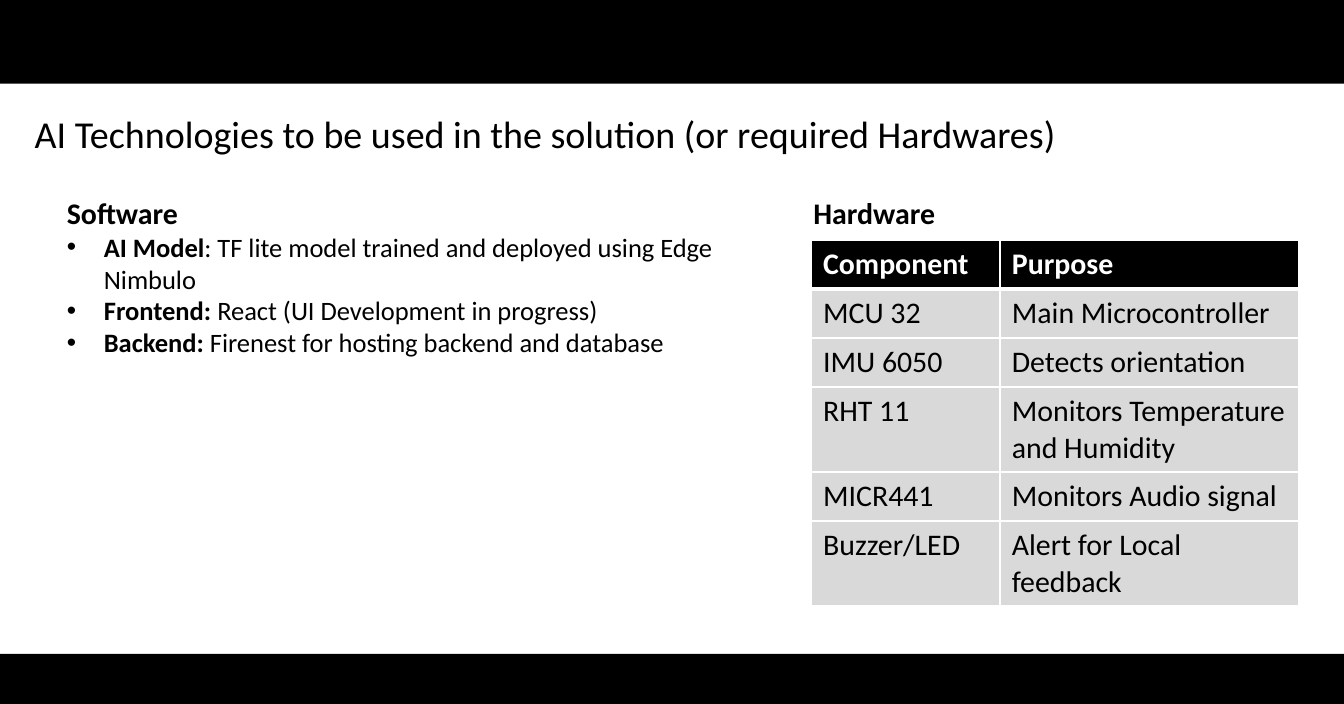
from lxml import etree
from pptx import Presentation
from pptx import util as u
from pptx.dml import color
from pptx.enum import shapes, text
from pptx.oxml import ns

WIDE, HIGH = 11.25, 5.89
BLACK, WHITE, GREY = "000000", "FFFFFF", "D9D9D9"
STACK = [
    ("AI Model", ": TF lite model trained and deployed using Edge Nimbulo"),
    ("Frontend: ", "React (UI Development in progress)"),
    ("Backend:", " Firenest for hosting backend and database"),
]
PARTS = [
    ("Component", "Purpose"),
    ("MCU 32", "Main Microcontroller"),
    ("IMU 6050", "Detects orientation"),
    ("RHT 11", "Monitors Temperature and Humidity"),
    ("MICR441", "Monitors Audio signal"),
    ("Buzzer/LED", "Alert for Local feedback"),
]


def paint(fill, tint):
    """Give a fill one solid colour."""
    fill.solid()
    fill.fore_color.rgb = color.RGBColor.from_string(tint)


def write(para, words, size, bold=False, tint=BLACK):
    """Add one formatted run to a paragraph."""
    run = para.add_run()
    run.text = words
    run.font.name = "Calibri"
    run.font.size = u.Pt(size)
    run.font.bold = bold
    paint(run.font.fill, tint)


def place(shape, box):
    """Move a shape to a box given in inches."""
    shape.left, shape.top, shape.width, shape.height = map(u.Inches, box)


def setup(frame):
    """Make a text frame wrap, start at its top and keep its size."""
    frame.word_wrap = True
    frame.auto_size = text.MSO_AUTO_SIZE.NONE
    frame.vertical_anchor = text.MSO_ANCHOR.TOP


def add_bar(slide, box):
    """Draw one black band."""
    bar = slide.shapes.add_shape(
        shapes.MSO_SHAPE.RECTANGLE, *map(u.Inches, box))
    bar.shadow.inherit = False
    paint(bar.fill, BLACK)
    bar.line.fill.background()


def add_title(slide, box):
    """Fill the title placeholder."""
    title = slide.shapes.title
    place(title, box)
    frame = title.text_frame
    setup(frame)
    frame.margin_left = frame.margin_right = 0
    frame.margin_top = frame.margin_bottom = 0
    para = frame.paragraphs[0]
    para.alignment = text.PP_ALIGN.LEFT
    para.line_spacing = u.Pt(32)
    write(para, "AI Technologies to be used in the solution "
          "(or required Hardwares)", 22.9)


def indent(para, depth, mark=None):
    """Set a hanging indent and a bullet, or none."""
    para.space_before = u.Pt(0)
    props = para._p.get_or_add_pPr()
    props.set("marL", str(u.Inches(depth)))
    props.set("indent", str(-u.Inches(depth)))
    if mark:
        etree.SubElement(props, ns.qn("a:buChar"), char=mark)
    else:
        etree.SubElement(props, ns.qn("a:buNone"))


def add_soft(slide, box):
    """Fill the body placeholder with the software list."""
    body = slide.placeholders[1]
    place(body, box)
    frame = body.text_frame
    setup(frame)
    head = frame.paragraphs[0]
    indent(head, 0)
    write(head, "Software", 18, True)
    for name, note in STACK:
        para = frame.add_paragraph()
        indent(para, 0.31, "•")
        write(para, name, 16, True)
        write(para, note, 16)


def edge(cell, base):
    """Draw white cell borders with a given bottom width."""
    props = cell._tc.get_or_add_tcPr()
    for spot, (side, width) in enumerate(zip("LRTB", (1, 1, 1, base))):
        line = etree.Element(ns.qn(f"a:ln{side}"), w=str(u.Pt(width)))
        fill = etree.SubElement(line, ns.qn("a:solidFill"))
        etree.SubElement(fill, ns.qn("a:srgbClr"), val=WHITE)
        props.insert(spot, line)


def add_hard(slide, box):
    """Place the hardware heading and its table."""
    left, top, wide, high = box
    label = slide.shapes.add_textbox(
        *map(u.Inches, (left - 0.08, top, 1.53, 0.4)))
    setup(label.text_frame)
    write(label.text_frame.paragraphs[0], "Hardware", 18, True)
    drop = 0.43
    grid = slide.shapes.add_table(
        len(PARTS), 2, *map(u.Inches, (left, top + drop, wide, high - drop))).table
    for col, size in zip(grid.columns, (1.58, wide - 1.58)):
        col.width = u.Inches(size)
    for row, (line, words) in enumerate(zip(grid.rows, PARTS)):
        line.height = u.Inches(0.41)
        head = row == 0
        for cell, word in zip(line.cells, words):
            paint(cell.fill, BLACK if head else GREY)
            edge(cell, 3 if head else 1)
            write(cell.text_frame.paragraphs[0], word, 18, head,
                  WHITE if head else BLACK)


def main():
    """Build and save the slide."""
    deck = Presentation()
    deck.slide_width, deck.slide_height = u.Inches(WIDE), u.Inches(HIGH)
    slide = deck.slides.add_slide(deck.slide_layouts[1])
    paint(slide.background.fill, WHITE)
    add_bar(slide, (0, 5.47, WIDE, HIGH - 5.47))
    add_bar(slide, (0, 0, WIDE, 0.7))
    add_title(slide, (0.29, 0.86, 10.87, 0.43))
    add_soft(slide, (0.46, 1.58, 6, 2.05))
    add_hard(slide, (6.79, 1.58, 4.08, 2.89))
    deck.save("out.pptx")


if __name__ == "__main__":
    main()
